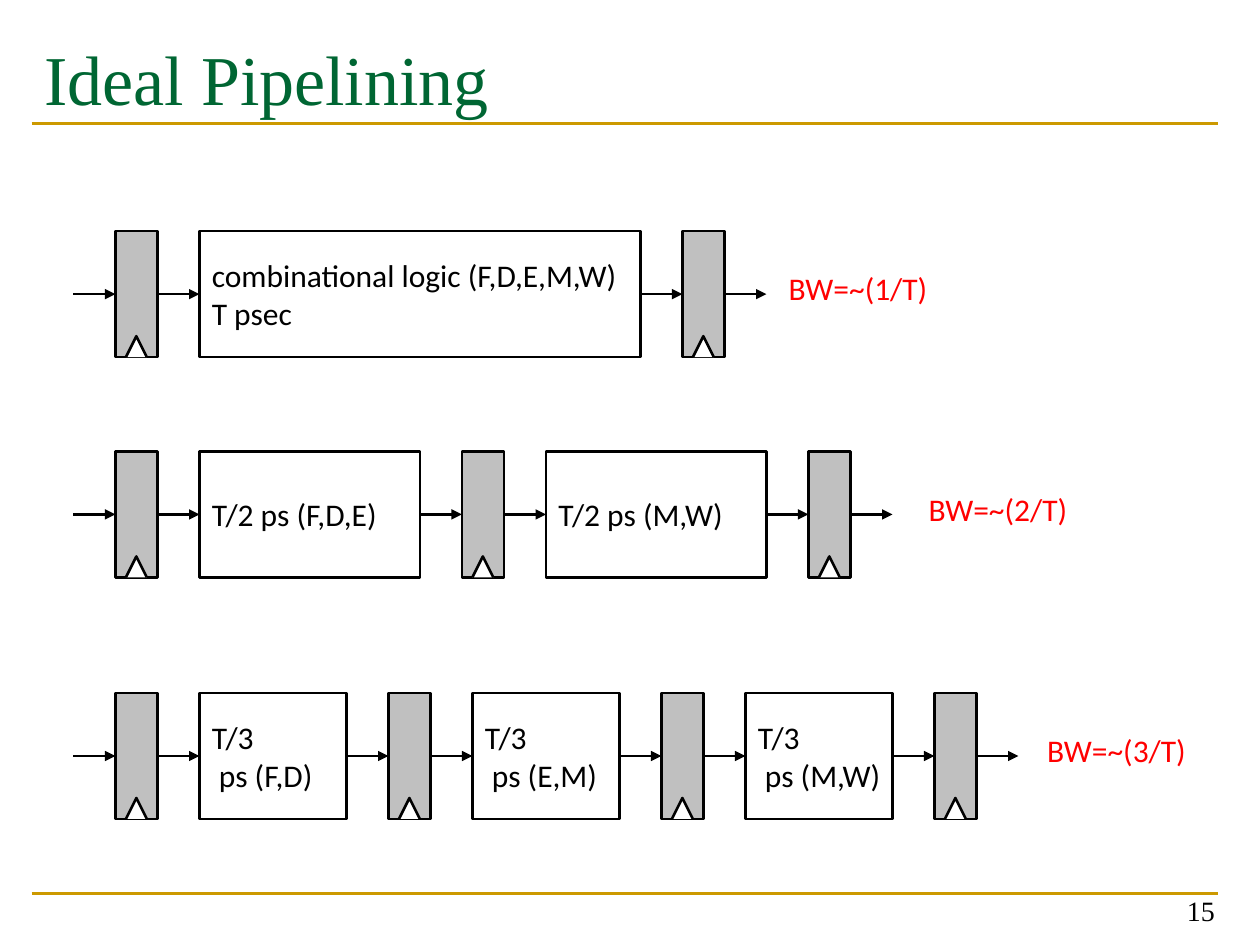
"""Build the Ideal Pipelining slide: one logic block split into 1, 2 and 3 stages."""
from lxml import etree
from pptx import Presentation
from pptx import util as u
from pptx.dml.color import RGBColor
from pptx.enum import shapes, text
from pptx.oxml.ns import qn

BLACK = RGBColor(0, 0, 0)
WHITE = RGBColor(255, 255, 255)
GRAY = RGBColor(0xC0, 0xC0, 0xC0)
RED = RGBColor(255, 0, 0)
GOLD = RGBColor(0xCC, 0x99, 0)
GREEN = RGBColor(0, 0x66, 0x33)

TITLE = "Ideal Pipelining"
PAGE = "15"
PIPELINES = [
    {"top": 4.66, "label": "BW=~(1/T)", "label_x": 15.9,
     "stages": [["combinational logic (F,D,E,M,W)", "T psec"]]},
    {"top": 9.1, "label": "BW=~(2/T)", "label_x": 18.72,
     "stages": [["T/2 ps (F,D,E)"], ["T/2 ps (M,W)"]]},
    {"top": 13.97, "label": "BW=~(3/T)", "label_x": 21.11,
     "stages": [["T/3", " ps (F,D)"], ["T/3", " ps (E,M)"], ["T/3", " ps (M,W)"]]},
]

TITLE_FONT = {"name": "Times New Roman", "size": u.Pt(40), "color": GREEN}
PAGE_FONT = {"name": "Times New Roman", "size": u.Pt(16), "color": BLACK}
LOGIC_FONT = {"name": "Calibri", "size": u.Pt(18), "color": BLACK}
LABEL_FONT = {"name": "Calibri", "size": u.Pt(18), "color": RED}
TOP, MIDDLE, BOTTOM = (text.MSO_ANCHOR.TOP, text.MSO_ANCHOR.MIDDLE,
                       text.MSO_ANCHOR.BOTTOM)
NO_MARGINS = dict.fromkeys(
    ("margin_left", "margin_top", "margin_right", "margin_bottom"), 0)

START_X = u.Cm(1.48)
HEIGHT = u.Cm(2.54)
STEP = HEIGHT // 3
NOTCH = STEP // 2
LOGIC_TOTAL = u.Cm(8.89)


def write(sp, lines, font, align=text.PP_ALIGN.LEFT, **frame):
    tf = sp.text_frame
    for name, value in frame.items():
        setattr(tf, name, value)
    for i, line in enumerate(lines):
        p = tf.paragraphs[0] if i == 0 else tf.add_paragraph()
        p.alignment = align
        r = p.add_run()
        r.text = line
        for name, value in font.items():
            if name == "color":
                r.font.color.rgb = value
            else:
                setattr(r.font, name, value)


def paint(sp, fill):
    sp.shadow.inherit = False
    sp.fill.solid()
    sp.fill.fore_color.rgb = fill
    sp.line.color.rgb = BLACK
    sp.line.width = u.Pt(1.5)
    return sp


def add_box(parent, x, y, width, fill):
    return paint(parent.add_shape(shapes.MSO_SHAPE.RECTANGLE, x, y, width, HEIGHT), fill)


def add_line(s, x1, x2, y, color, arrow=False):
    sp = s.shapes.add_connector(shapes.MSO_CONNECTOR.STRAIGHT, x1, y, x2, y)
    sp.line.color.rgb = color
    sp.line.width = u.Pt(1.5)
    if arrow:
        etree.SubElement(sp.line._get_or_add_ln(), qn("a:tailEnd"), type="triangle")
    etree.SubElement(sp._element.spPr, qn("a:effectLst"))


def add_register(s, x, y):
    """Draw a clocked register with its arrows and return the x where they end."""
    middle = y + HEIGHT // 2
    add_line(s, x, x + STEP, middle, BLACK, arrow=True)
    group = s.shapes.add_group_shape().shapes
    left, bottom = x + STEP, y + HEIGHT
    add_box(group, left, y, STEP, GRAY)
    notch_x = left + NOTCH // 2
    builder = group.build_freeform(notch_x, bottom)
    builder.add_line_segments(
        [(notch_x + NOTCH // 2, bottom - NOTCH), (notch_x + NOTCH, bottom)], close=False)
    paint(builder.convert_to_shape(), WHITE)
    add_line(s, left + STEP, left + 2 * STEP, middle, BLACK, arrow=True)
    return x + 3 * STEP


def add_pipeline(s, top, label, label_x, stages):
    y = u.Cm(top)
    width = LOGIC_TOTAL // len(stages)
    x = add_register(s, START_X, y)
    for lines in stages:
        write(add_box(s.shapes, x, y, width, WHITE), lines, LOGIC_FONT,
              word_wrap=False, vertical_anchor=MIDDLE)
        x = add_register(s, x + width, y)
    sp = s.shapes.add_textbox(u.Cm(label_x), y + u.Cm(0.77), u.Cm(3.76), u.Cm(1.02))
    write(sp, [label], LABEL_FONT, word_wrap=True, **NO_MARGINS)


def main():
    prs = Presentation()
    prs.slide_width, prs.slide_height = u.Cm(25.4), u.Cm(19.05)
    s = prs.slides.add_slide(prs.slide_layouts[6])
    for y in (18.01, 2.49):
        add_line(s, u.Cm(0.64), u.Cm(24.56), u.Cm(y), GOLD)
    sp = s.shapes.add_textbox(u.Cm(0.64), u.Cm(0.43), u.Cm(23.93), u.Cm(2.97))
    write(sp, [TITLE], TITLE_FONT, word_wrap=True, vertical_anchor=TOP,
          margin_top=u.Cm(0.28))
    sp = s.shapes.add_textbox(u.Cm(18.82), u.Cm(17.55), u.Cm(5.92), u.Cm(1.27))
    write(sp, [PAGE], PAGE_FONT, text.PP_ALIGN.RIGHT, word_wrap=True,
          vertical_anchor=BOTTOM)
    for pipeline in PIPELINES:
        add_pipeline(s, **pipeline)
    prs.save("out.pptx")


if __name__ == "__main__":
    main()
